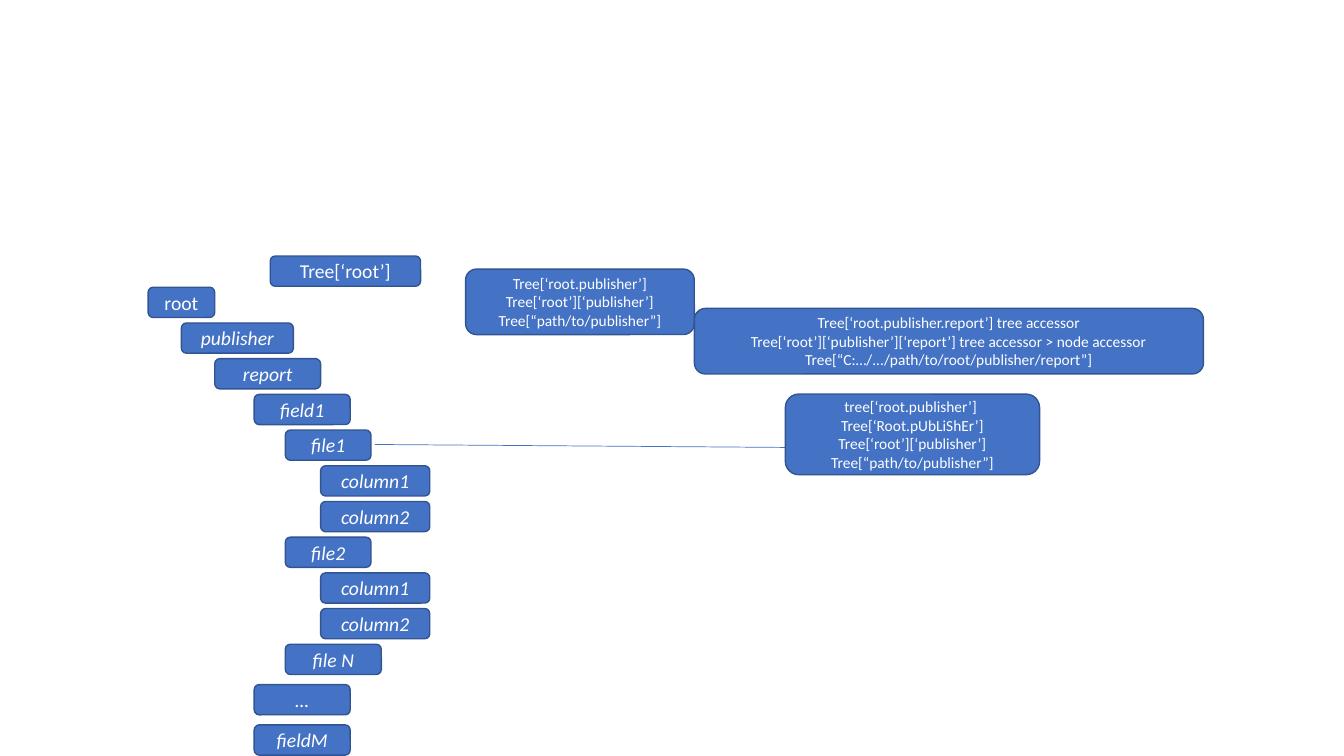
from dataclasses import dataclass

from lxml.etree import SubElement
from pptx import Presentation
from pptx.dml.color import RGBColor
from pptx.enum.shapes import MSO_CONNECTOR, MSO_SHAPE
from pptx.enum.text import MSO_ANCHOR, PP_ALIGN
from pptx.oxml.ns import qn
from pptx.util import Pt


@dataclass(frozen=True)
class Theme:
    fill: RGBColor = RGBColor(0x44, 0x72, 0xC4)
    outline: RGBColor = RGBColor(0x32, 0x54, 0x91)
    text: RGBColor = RGBColor(0xFF, 0xFF, 0xFF)
    font: str = "Calibri"
    node_size: int = 14
    accessor_size: int = 11


theme = Theme()
prs = Presentation()
prs.slide_width, prs.slide_height = Pt(960), Pt(540)
slide = prs.slides.add_slide(prs.slide_layouts[6])


def add_box(left, top, width, height, lines, size, italic=False):
    box = slide.shapes.add_shape(
        MSO_SHAPE.ROUNDED_RECTANGLE, Pt(left), Pt(top), Pt(width), Pt(height))
    box.shadow.inherit = False
    box.fill.solid()
    box.fill.fore_color.rgb = theme.fill
    box.line.color.rgb = theme.outline
    box.line.width = Pt(1)
    frame = box.text_frame
    frame.vertical_anchor = MSO_ANCHOR.MIDDLE
    for index, line in enumerate(lines):
        paragraph = frame.add_paragraph() if index else frame.paragraphs[0]
        paragraph.alignment = PP_ALIGN.CENTER
        run = paragraph.add_run()
        run.text = line
        run.font.name = theme.font
        run.font.size = Pt(size)
        run.font.italic = italic
        run.font.color.rgb = theme.text


# Tree nodes: label, depth, width
level_lefts = [105.8, 129.6, 153.4, 181.6, 203.8, 229]
node_height = 21.6
tree_top, row_pitch, last_pitch = 205.2, 25.5, 28.8
nodes = [
    ("root", 0, 47.6),
    ("publisher", 1, 80),
    ("report", 2, 75.6),
    ("field1", 3, 68.6),
    ("file1", 4, 61.2),
    ("column1", 5, 78),
    ("column2", 5, 78),
    ("file2", 4, 61.2),
    ("column1", 5, 78),
    ("column2", 5, 78),
    ("file N", 4, 68.6),
    ("…", 3, 68.6),
    ("fieldM", 3, 68.6),
]
close_rows = 10  # the rows after this one stand further apart
for row, (label, depth, width) in enumerate(nodes):
    top = (tree_top + min(row, close_rows) * row_pitch
           + max(row - close_rows, 0) * last_pitch)
    add_box(level_lefts[depth], top, width, node_height, [label],
            theme.node_size, italic=depth > 0)

add_box(193, 182.9, 107.4, node_height, ["Tree[‘root’]"], theme.node_size)

# The arrow runs in under the file accessors, which are added after it
file_arrow = slide.shapes.add_connector(
    MSO_CONNECTOR.STRAIGHT, Pt(267.8), Pt(317.5), Pt(576), Pt(319.7))
file_arrow.line.color.rgb = theme.fill
file_arrow.line.width = Pt(0.5)
SubElement(file_arrow.line._get_or_add_ln(), qn("a:tailEnd"), type="triangle")
SubElement(file_arrow._element.spPr, qn("a:effectLst"))

accessors = [
    (332.6, 192.2, 163.4, 46.8, [
        "Tree[‘root.publisher’]",
        "Tree[‘root’][‘publisher’]",
        "Tree[“path/to/publisher”]",
    ]),
    (496, 220.3, 363.6, 46.8, [
        "Tree[‘root.publisher.report’] tree accessor",
        "Tree[‘root’][‘publisher’][‘report’] tree accessor > node accessor",
        "Tree[“C:…/.../path/to/root/publisher/report”]",
    ]),
    (561, 281.5, 181.6, 57.6, [
        "tree[‘root.publisher’] ",
        "Tree[‘Root.pUbLiShEr’]",
        "Tree[‘root’][‘publisher’]",
        "Tree[“path/to/publisher”]",
    ]),
]
for left, top, width, height, lines in accessors:
    add_box(left, top, width, height, lines, theme.accessor_size)

prs.save("out.pptx")
